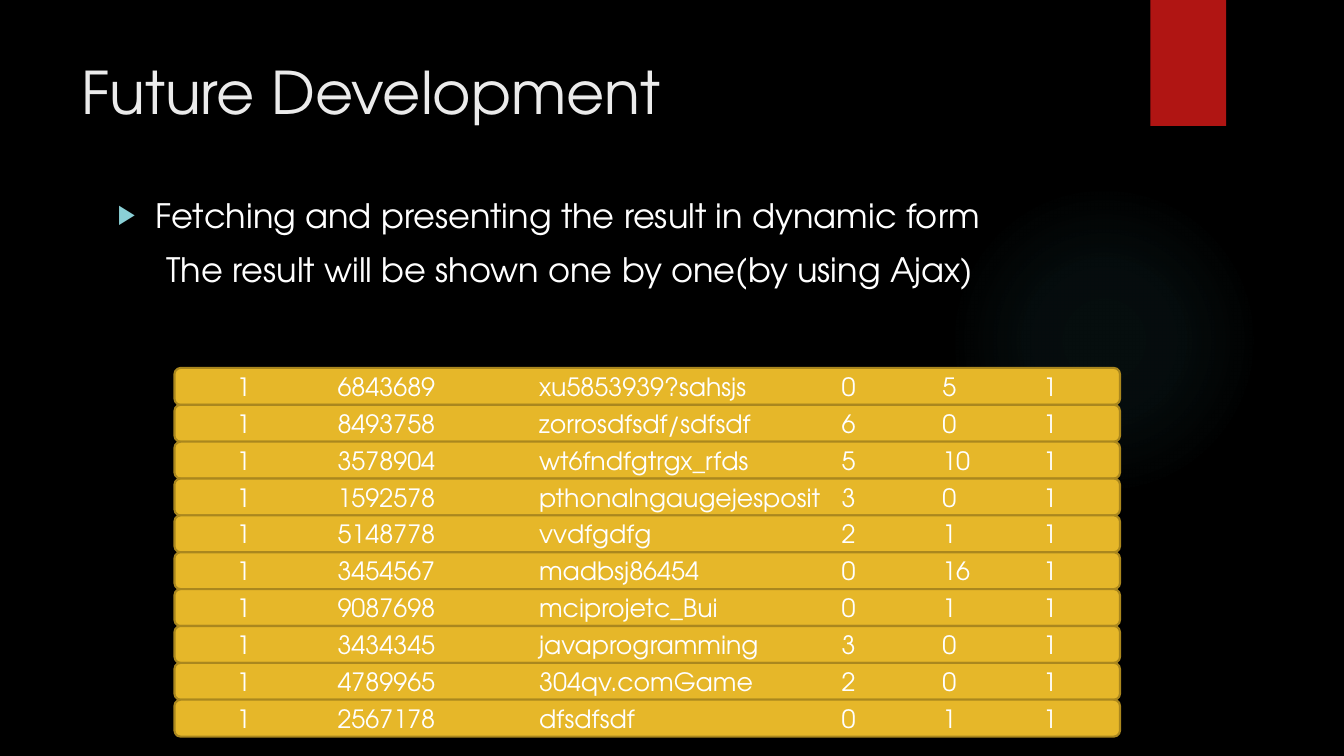
"""Build the Future Development slide with its list of result bars."""
from dataclasses import astuple, dataclass

import lxml.etree
import pptx
import pptx.dml.color
import pptx.enum.shapes
import pptx.enum.text
import pptx.oxml.ns
import pptx.util

Pt = pptx.util.Pt
qn = pptx.oxml.ns.qn
Preset = pptx.enum.shapes.MSO_SHAPE
Anchor = pptx.enum.text.MSO_ANCHOR

FONT = "TeX Gyre Adventor"
COLORS = {
    "background": "000000",
    "glow": "50B9C1",
    "ribbon": "B01513",
    "title": "EBEBEB",
    "text": "FFFFFF",
    "bullet": "8AD0D6",
    "bar": "E6B729",
    "bar_line": "AA871E",
}
BAR_LEFT, BAR_TOP, BAR_WIDTH, BAR_HEIGHT = 124.6, 262.8, 675.4, 26.4
BAR_PITCH = 26.33
BAR_INSET = 43.2
COLUMN_STOPS = (72, 216, 432, 504, 576)
GLOW_STOPS = ((0, 7), (36, 6), (69, 0))


@dataclass
class Result:
    rank: str
    number: str
    name: str
    first_count: str
    second_count: str
    total: str


RESULTS = [
    Result("1", "6843689", "xu5853939?sahsjs", "0", "5", "1"),
    Result("1", "8493758", "zorrosdfsdf/sdfsdf", "6", "0", "1"),
    Result("1", "3578904", "wt6fndfgtrgx_rfds", "5", "10", "1"),
    Result("1", "1592578", "pthonalngaugejesposit", "3", "0", "1"),
    Result("1", "5148778", "vvdfgdfg", "2", "1", "1"),
    Result("1", "3454567", "madbsj86454", "0", "16", "1"),
    Result("1", "9087698", "mciprojetc_Bui", "0", "1", "1"),
    Result("1", "3434345", "javaprogramming", "3", "0", "1"),
    Result("1", "4789965", "304qv.comGame", "2", "0", "1"),
    Result("1", "2567178", "dfsdfsdf", "0", "1", "1"),
]


def rgb(name: str) -> pptx.dml.color.RGBColor:
    return pptx.dml.color.RGBColor.from_string(COLORS[name])


def add_element(parent, tag: str, **attributes):
    return lxml.etree.SubElement(
        parent, qn(tag), {key: str(value) for key, value in attributes.items()}
    )


def add_shape(slide, preset, left: float, top: float, width: float, height: float,
              fill: str, line: str | None = None):
    shape = slide.shapes.add_shape(preset, Pt(left), Pt(top), Pt(width), Pt(height))
    shape.shadow.inherit = False
    shape.fill.solid()
    shape.fill.fore_color.rgb = rgb(fill)
    if line:
        shape.line.color.rgb = rgb(line)
        shape.line.width = Pt(1.5)
    else:
        shape.line.fill.background()
    return shape


def add_text_box(slide, left: float, top: float, width: float, height: float):
    shape = slide.shapes.add_textbox(Pt(left), Pt(top), Pt(width), Pt(height))
    shape.text_frame.word_wrap = True
    return shape


def write_text(paragraph, text: str, *, size: float, color: str = "text",
               indent: float = 0, bullet: str = "", space_before: float = 0,
               tab_stops: tuple = ()) -> None:
    paragraph.alignment = pptx.enum.text.PP_ALIGN.LEFT
    if space_before:
        paragraph.space_before = Pt(space_before)
    properties = paragraph._p.get_or_add_pPr()
    if indent:
        properties.set("marL", str(Pt(indent)))
        properties.set("indent", str(Pt(-indent) if bullet else 0))
    if bullet:
        bullet_color = add_element(properties, "a:buClr")
        add_element(bullet_color, "a:srgbClr", val=COLORS["bullet"])
        add_element(properties, "a:buSzPct", val=80000)
        add_element(properties, "a:buFont", typeface="Arial")
        add_element(properties, "a:buChar", char=bullet)
    if tab_stops:
        tabs = add_element(properties, "a:tabLst")
        for stop in tab_stops:
            add_element(tabs, "a:tab", pos=Pt(stop), algn="l")
    run = paragraph.add_run()
    run.text = text
    run.font.name = FONT
    run.font.size = Pt(size)
    run.font.color.rgb = rgb(color)


def draw_glow(slide) -> None:
    glow = add_shape(slide, Preset.OVAL, 677.5, 131.8, 221.8, 221.8, "glow")
    solid = glow._element.spPr.find(qn("a:solidFill"))
    gradient = lxml.etree.Element(qn("a:gradFill"), rotWithShape="1")
    stops = add_element(gradient, "a:gsLst")
    for position, opacity in GLOW_STOPS:
        stop = add_element(stops, "a:gs", pos=position * 1000)
        color = add_element(stop, "a:srgbClr", val=COLORS["glow"])
        add_element(color, "a:alpha", val=opacity * 1000)
    circle = add_element(gradient, "a:path", path="circle")
    add_element(circle, "a:fillToRect", l=50000, t=50000, r=50000, b=50000)
    solid.getparent().replace(solid, gradient)


def draw_heading(slide) -> None:
    title = add_text_box(slide, 51.1, 36, 740.9, 110.2)
    write_text(title.text_frame.paragraphs[0], "Future Development", size=42, color="title")
    body = add_text_box(slide, 77, 135.4, 736.6, 109.4).text_frame
    write_text(body.paragraphs[0], "Fetching and presenting the result in dynamic form",
               size=24, indent=27, bullet="▶")
    write_text(body.add_paragraph(), "The result will be shown one by one(by using Ajax)",
               size=24, indent=35, space_before=10)


def draw_result(slide, index: int, result: Result) -> None:
    bar = add_shape(slide, Preset.ROUNDED_RECTANGLE, BAR_LEFT, BAR_TOP + index * BAR_PITCH,
                    BAR_WIDTH, BAR_HEIGHT, "bar", "bar_line")
    frame = bar.text_frame
    frame.vertical_anchor = Anchor.MIDDLE
    frame.margin_left = Pt(BAR_INSET)
    write_text(frame.paragraphs[0], "\t".join(astuple(result)), size=18,
               tab_stops=COLUMN_STOPS)


def main() -> None:
    presentation = pptx.Presentation()
    presentation.slide_width, presentation.slide_height = Pt(960), Pt(540)
    slide = presentation.slides.add_slide(presentation.slide_layouts[6])
    slide.background.fill.solid()
    slide.background.fill.fore_color.rgb = rgb("background")
    draw_glow(slide)
    add_shape(slide, Preset.RECTANGLE, 821.8, 0, 54, 90, "ribbon")
    draw_heading(slide)
    for index, result in enumerate(RESULTS):
        draw_result(slide, index, result)
    presentation.save("out.pptx")


if __name__ == "__main__":
    main()
